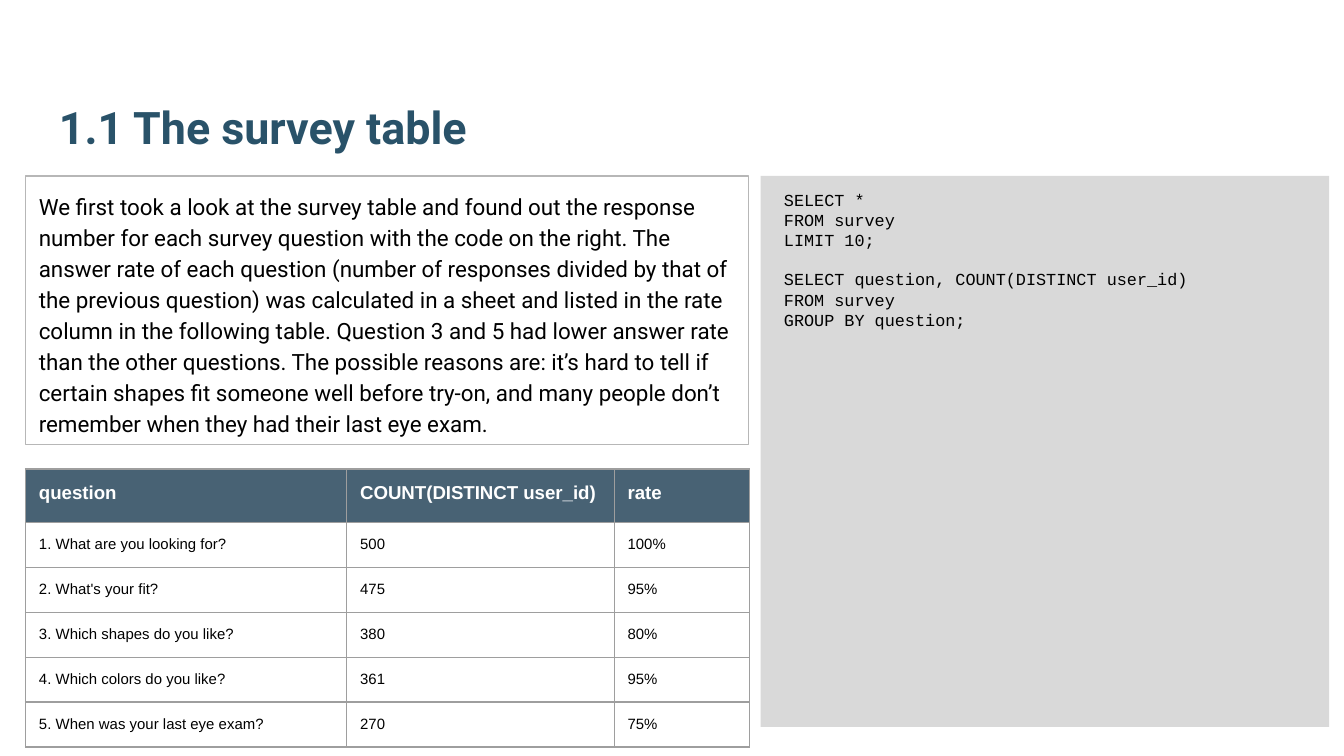
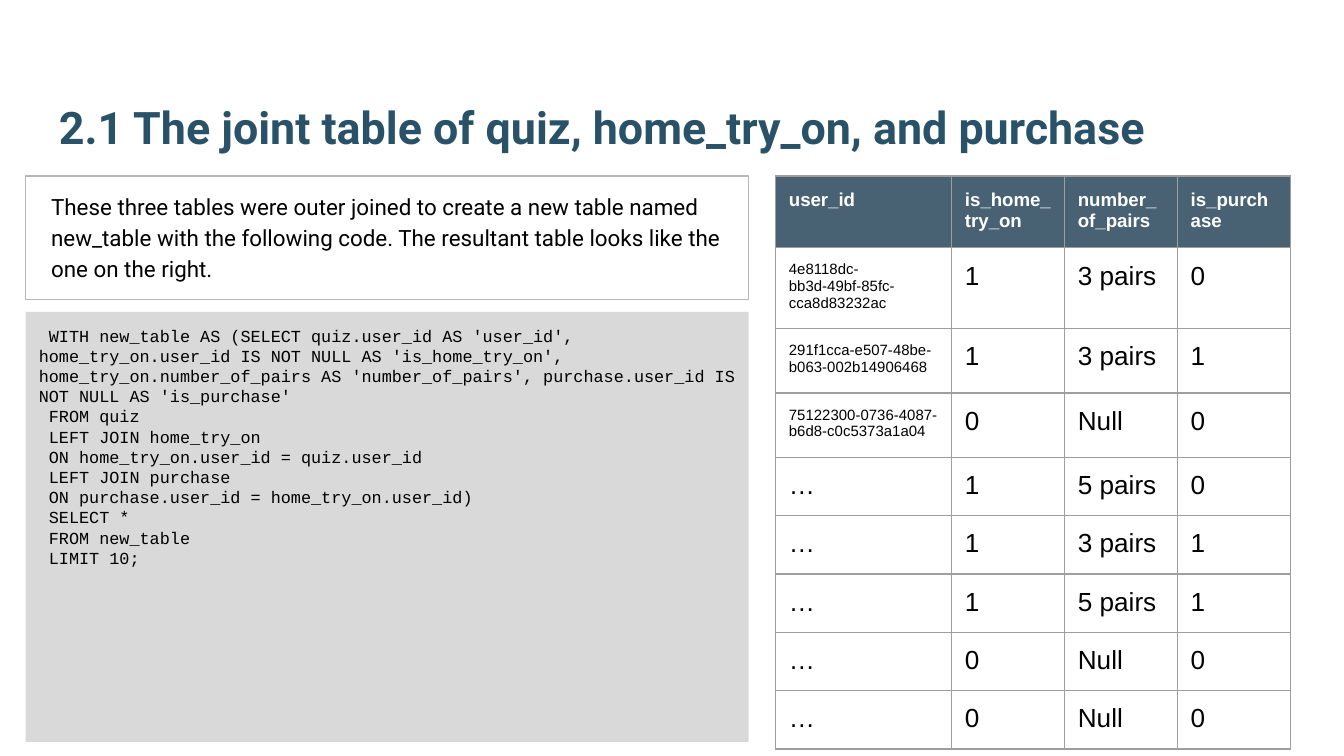
"""Two slides on a survey funnel: notes, queries and result tables."""
import lxml.etree
import pptx
import pptx.dml.color
import pptx.enum.shapes
import pptx.enum.text
import pptx.oxml.ns
import pptx.util

Inches = pptx.util.Inches
Pt = pptx.util.Pt
qn = pptx.oxml.ns.qn

TITLE_COLOR = "295269"
HEADER_FILL = "204056"
HEADER_OPACITY = 82
CODE_FILL = "D9D9D9"
NOTE_LINE = "B7B7B7"
GRID_LINE = "9E9E9E"
BLACK = "000000"
WHITE = "FFFFFF"
INSET = 0.1
LEFT = 0.19
TOP = 1.31
MAIN_WIDTH = 5.38
CODE_LINE = 10.2
LONG_TEXT = 30

SURVEY_NOTE = (
    "We first took a look at the survey table and found out the response number for each "
    "survey question with the code on the right. The answer rate of each question (number of "
    "responses divided by that of the previous question) was calculated in a sheet and listed "
    "in the rate column in the following table. Question 3 and 5 had lower answer rate than "
    "the other questions. The possible reasons are: it’s hard to tell if certain shapes fit "
    "someone well before try-on, and many people don’t remember when they had their last eye "
    "exam."
)
SURVEY_QUERIES = [
    [" SELECT *", " FROM survey", " LIMIT 10;"],
    [" SELECT question, COUNT(DISTINCT user_id)", " FROM survey", " GROUP BY question;"],
]
SURVEY_ROWS = [
    ["question", "COUNT(DISTINCT user_id)", "rate"],
    ["1. What are you looking for?", "500", "100%"],
    ["2. What's your fit?", "475", "95%"],
    ["3. Which shapes do you like?", "380", "80%"],
    ["4. Which colors do you like?", "361", "95%"],
    ["5. When was your last eye exam?", "270", "75%"],
]
JOIN_NOTE = (
    "These three tables were outer joined to create a new table named new_table with the "
    "following code. The resultant table looks like the one on the right."
)
JOIN_QUERIES = [[
    " WITH new_table AS (SELECT quiz.user_id AS 'user_id', "
    "home_try_on.user_id IS NOT NULL AS 'is_home_try_on', "
    "home_try_on.number_of_pairs AS 'number_of_pairs', "
    "purchase.user_id IS NOT NULL AS 'is_purchase'",
    " FROM quiz",
    " LEFT JOIN home_try_on",
    " ON home_try_on.user_id = quiz.user_id",
    " LEFT JOIN purchase",
    " ON purchase.user_id = home_try_on.user_id)",
    " SELECT *",
    " FROM new_table",
    " LIMIT 10;",
]]
JOIN_ROWS = [
    ["user_id", "is_home_try_on", "number_of_pairs", "is_purchase"],
    ["4e8118dc-bb3d-49bf-85fc-cca8d83232ac", "1", "3 pairs", "0"],
    ["291f1cca-e507-48be-b063-002b14906468", "1", "3 pairs", "1"],
    ["75122300-0736-4087-b6d8-c0c5373a1a04", "0", "Null", "0"],
    ["…", "1", "5 pairs", "0"],
    ["…", "1", "3 pairs", "1"],
    ["…", "1", "5 pairs", "1"],
    ["…", "0", "Null", "0"],
    ["…", "0", "Null", "0"],
]


def color(value):
    """Turn a hex string into a colour."""
    return pptx.dml.color.RGBColor.from_string(value)


def style_text(frame, font_name, size, font_color, bold=False):
    """Format every run of a text frame alike, without kerning."""
    for para in frame.paragraphs:
        para.alignment = pptx.enum.text.PP_ALIGN.LEFT
        for span in para.runs:
            span.font.name = font_name
            span.font.size = Pt(size)
            span.font.bold = bold
            span.font.color.rgb = color(font_color)
            span._r.get_or_add_rPr().set("kern", "0")


def set_frame(frame, anchor, left_inset=INSET):
    """Set wrapping, anchor and insets of a text frame."""
    frame.word_wrap = True
    frame.vertical_anchor = anchor
    frame.margin_left = Inches(left_inset)
    frame.margin_right = frame.margin_top = frame.margin_bottom = Inches(INSET)


def add_title(page, text):
    """Place the slide title."""
    box = page.shapes.add_textbox(Inches(0.34), Inches(0.32), Inches(9.32), Inches(0.92))
    set_frame(box.text_frame, pptx.enum.text.MSO_ANCHOR.BOTTOM)
    box.text_frame.text = text
    style_text(box.text_frame, "Roboto", 24, TITLE_COLOR, bold=True)


def add_panel(page, bounds, left_inset=INSET):
    """Place a plain rectangle with text at its top left."""
    panel = page.shapes.add_shape(
        pptx.enum.shapes.MSO_SHAPE.RECTANGLE, *(Inches(length) for length in bounds))
    panel.shadow.inherit = False
    set_frame(panel.text_frame, pptx.enum.text.MSO_ANCHOR.TOP, left_inset)
    return panel


def add_note(page, bounds, text, left_inset=INSET):
    """Place an outlined note."""
    panel = add_panel(page, bounds, left_inset)
    panel.fill.background()
    panel.line.color.rgb = color(NOTE_LINE)
    panel.line.width = Pt(0.75)
    panel.text_frame.text = text
    panel.text_frame.paragraphs[0].line_spacing = 1.15
    style_text(panel.text_frame, "Roboto", 12, BLACK)


def add_code(page, bounds, queries):
    """Place a grey code panel with a line of space between queries."""
    panel = add_panel(page, bounds)
    panel.fill.solid()
    panel.fill.fore_color.rgb = color(CODE_FILL)
    panel.line.fill.background()
    frame = panel.text_frame
    frame.text = "\n".join(line for query in queries for line in query)
    start = 0
    for query in queries[:-1]:
        start += len(query)
        frame.paragraphs[start].space_before = Pt(CODE_LINE)
    style_text(frame, "Courier New", 9, BLACK)


def add_borders(cell):
    """Draw a thin line on all four sides of a cell."""
    properties = cell._tc.get_or_add_tcPr()
    for index, side in enumerate(("a:lnL", "a:lnR", "a:lnT", "a:lnB")):
        line = lxml.etree.Element(qn(side), w=str(Pt(0.75)))
        fill = lxml.etree.SubElement(line, qn("a:solidFill"))
        lxml.etree.SubElement(fill, qn("a:srgbClr"), val=GRID_LINE)
        properties.insert(index, line)


def fill_header(cell):
    """Give a header cell its translucent fill."""
    cell.fill.solid()
    cell.fill.fore_color.rgb = color(HEADER_FILL)
    tint = cell._tc.tcPr.find(".//" + qn("a:srgbClr"))
    lxml.etree.SubElement(tint, qn("a:alpha"), val=str(HEADER_OPACITY * 1000))


def add_grid(page, bounds, widths, heights, rows, body_size):
    """Place a table with a dark header row; rows grow to fit their text."""
    holder = page.shapes.add_table(
        len(rows), len(widths), *(Inches(length) for length in bounds))
    table = holder.table
    table.first_row = table.horz_banding = False
    for column, width in zip(table.columns, widths):
        column.width = Inches(width)
    for row_index, (row, height) in enumerate(zip(rows, heights)):
        table.rows[row_index].height = Inches(height)
        for column_index, text in enumerate(row):
            cell = table.cell(row_index, column_index)
            cell.margin_left = cell.margin_right = Inches(INSET)
            cell.margin_top = cell.margin_bottom = Inches(INSET)
            cell.text = text
            if row_index == 0:
                fill_header(cell)
                style_text(cell.text_frame, "Arial", 10, WHITE, bold=True)
            else:
                cell.fill.background()
                size = 8 if len(text) > LONG_TEXT else body_size
                style_text(cell.text_frame, "Arial", size, BLACK)
            add_borders(cell)
    holder.width, holder.height = Inches(bounds[2]), Inches(bounds[3])


def build_survey(page):
    """Fill the slide on the survey table."""
    add_title(page, "1.1 The survey table")
    add_code(page, (5.66, TOP, 4.23, 4.1), SURVEY_QUERIES)
    add_note(page, (LEFT, TOP, MAIN_WIDTH, 2), SURVEY_NOTE)
    add_grid(page, (LEFT, 3.49, MAIN_WIDTH, 2.06), [2.39, 1.99, 1.01],
             [0.4] + [0.32] * 5, SURVEY_ROWS, 8)


def build_join(page):
    """Fill the slide on the joint table."""
    add_title(page, "2.1 The joint table of quiz, home_try_on, and purchase")
    add_note(page, (LEFT, TOP, MAIN_WIDTH, 0.92), JOIN_NOTE, left_inset=0.19)
    add_grid(page, (5.77, TOP, 3.82, 4.26), [1.31] + [0.84] * 3,
             [0.27] + [0.48] * 3 + [0.33] + [0] * 4, JOIN_ROWS, 14)
    add_code(page, (LEFT, 2.32, MAIN_WIDTH, 3.2), JOIN_QUERIES)


def main():
    """Build and save the deck."""
    deck = pptx.Presentation()
    deck.slide_width = Inches(10)
    deck.slide_height = deck.slide_width * 9 // 16
    for build in (build_survey, build_join):
        build(deck.slides.add_slide(deck.slide_layouts[6]))
    deck.save("out.pptx")


if __name__ == "__main__":
    main()
